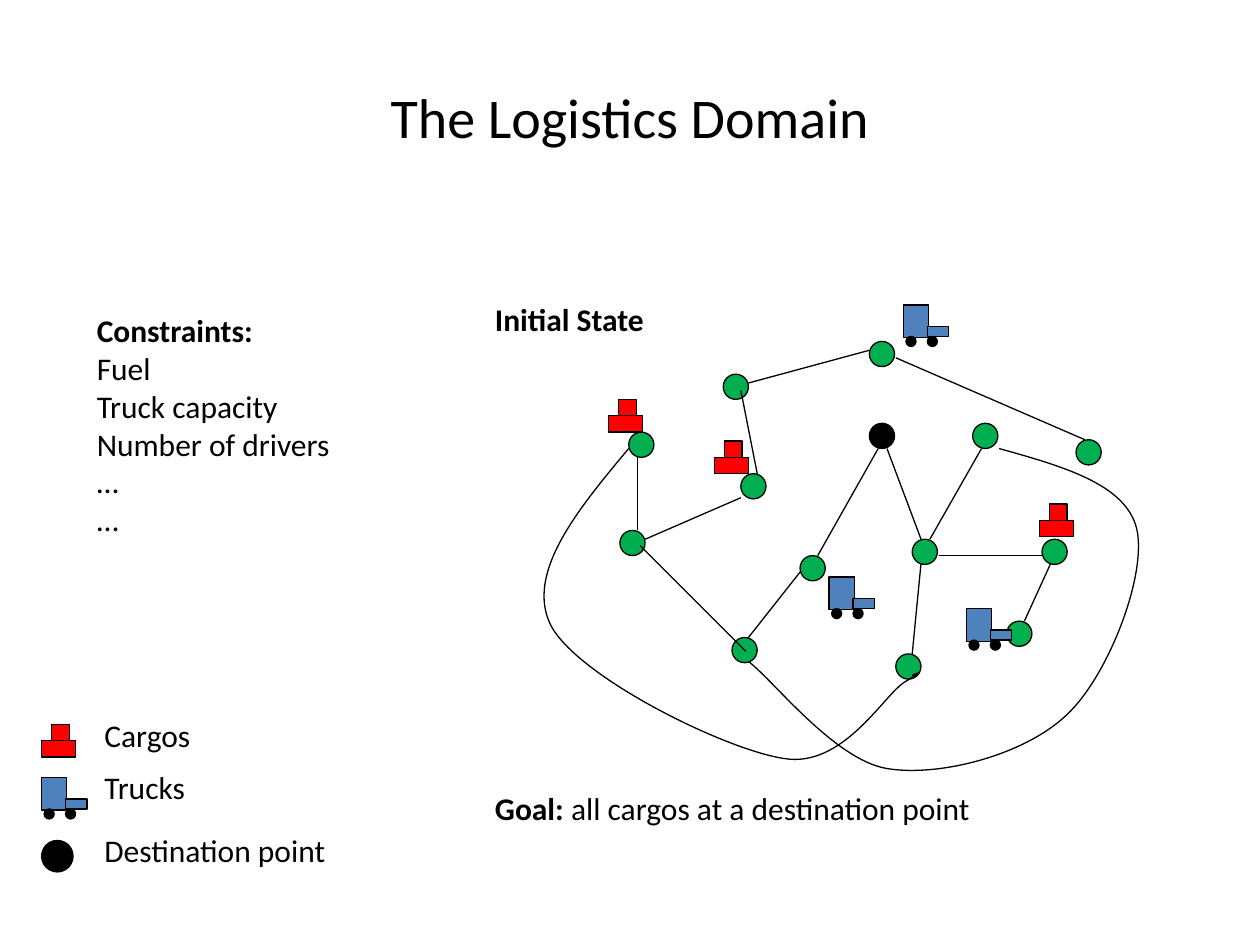
from lxml import etree
from pptx import Presentation
from pptx.dml.color import RGBColor
from pptx.enum.shapes import MSO_CONNECTOR, MSO_SHAPE
from pptx.enum.text import MSO_ANCHOR, PP_ALIGN
from pptx.oxml.ns import qn
from pptx.util import Inches, Pt

OVAL, RECT = MSO_SHAPE.OVAL, MSO_SHAPE.RECTANGLE
STRAIGHT = MSO_CONNECTOR.STRAIGHT
TOP, MIDDLE = MSO_ANCHOR.TOP, MSO_ANCHOR.MIDDLE
LEFT, CENTER = PP_ALIGN.LEFT, PP_ALIGN.CENTER

BLACK, GREEN, RED, BLUE = "000000", "00B050", "FF0000", "4F81BD"
WIDTH, HEIGHT = 10, 7.5
LEGEND_X, LABEL_X, STATE_X = 0.33, 0.73, 3.83
CITY_SIZE = 0.2

TITLE = [[("The Logistics Domain", False)]]
CONSTRAINTS = [[("Constraints:", True)]] + [
    [(item, False)] for item in ("Fuel", "Truck capacity", "Number of drivers", "…", "…")
]
INITIAL_STATE = [[("Initial State", True)]]
GOAL = [[("Goal:", True), (" all cargos at a destination point", False)]]
LEGEND = [("Cargos", 5.63, 0.91), ("Trucks", 6.05, 0.85), ("Destination point", 6.55, 1.98)]

CITIES = [
    (4.99, 3.43), (5.74, 2.97), (6.9, 2.71), (4.92, 4.21), (5.88, 3.76),
    (7.24, 4.28), (5.81, 5.06), (7.72, 3.36), (6.35, 4.41), (8.27, 4.28),
    (7.99, 4.93), (7.11, 5.19), (8.54, 3.49),
]
DESTINATION = (6.9, 3.36)
ROADS = [
    ((5.08, 4.33), (5.92, 5.17)), ((7.31, 4.47), (7.24, 5.19)),
    ((5.12, 4.28), (5.88, 3.95)), ((5.06, 4.21), (5.06, 3.62)),
    ((6.49, 4.41), (6.97, 3.56)), ((5.94, 5.06), (6.35, 4.54)),
    ((6.01, 3.76), (5.88, 3.1)), ((5.94, 3.04), (6.9, 2.78)),
    ((7.11, 2.84), (8.61, 3.49)), ((7.04, 3.56), (7.31, 4.28)),
    ((7.38, 4.28), (7.79, 3.56)), ((8.13, 4.93), (8.34, 4.47)),
    ((7.45, 4.41), (8.27, 4.41)),
]
WINDING_ROADS = [
    [(4.99, 3.56),
     (4.58, 4.05), (4.17, 4.55), (4.37, 4.96),
     (4.58, 5.37), (5.75, 5.95), (6.22, 6.02),
     (6.68, 6.1), (7, 5.54), (7.17, 5.42),
     (7.35, 5.31), (7.29, 5.34), (7.24, 5.36)],
    [(7.93, 3.56),
     (8.43, 3.7), (8.93, 3.84), (9.02, 4.19),
     (9.11, 4.55), (8.8, 5.36), (8.47, 5.67),
     (8.14, 5.99), (7.46, 6.17), (7.04, 6.1),
     (6.62, 6.03), (6.13, 5.39), (5.94, 5.25)],
]
CARGOS = [(5.67, 3.5), (4.83, 3.17), (8.25, 4), (LEGEND_X, 5.75)]
TRUCKS = [(6.58, 4.58), (7.17, 2.42), (7.67, 4.83), (LEGEND_X, 6.17)]

CARGO_PARTS = [(RECT, 0, 0.13, 0.27, 0.13, RED), (RECT, 0.08, 0, 0.14, 0.13, RED)]
TRUCK_PARTS = [
    (RECT, 0, 0, 0.2, 0.26, BLUE), (RECT, 0.19, 0.17, 0.17, 0.08, BLUE),
    (OVAL, 0.19, 0.25, 0.08, 0.08, BLACK), (OVAL, 0.02, 0.25, 0.08, 0.08, BLACK),
]


def rgb(colour):
    return RGBColor.from_string(colour)


def outline(part):
    part.line.color.rgb = rgb(BLACK)
    part.line.width = Pt(0.75)


def add_text(slide, paragraphs, x, y, w, h, size=18, align=LEFT, anchor=TOP, wrap=False):
    frame = slide.shapes.add_textbox(Inches(x), Inches(y), Inches(w), Inches(h)).text_frame
    frame.word_wrap = wrap
    frame.vertical_anchor = anchor
    for index, pieces in enumerate(paragraphs):
        paragraph = frame.paragraphs[0] if index == 0 else frame.add_paragraph()
        paragraph.alignment = align
        for words, bold in pieces:
            run = paragraph.add_run()
            run.text = words
            run.font.name, run.font.size, run.font.bold = "Calibri", Pt(size), bold
            run.font.color.rgb = rgb(BLACK)


def add_part(shapes, preset, x, y, w, h, colour):
    part = shapes.add_shape(preset, Inches(x), Inches(y), Inches(w), Inches(h))
    part.shadow.inherit = False
    part.fill.solid()
    part.fill.fore_color.rgb = rgb(colour)
    outline(part)


def add_icon(slide, parts, left, top):
    icon = slide.shapes.add_group_shape()
    for preset, x, y, w, h, colour in parts:
        add_part(icon.shapes, preset, left + x, top + y, w, h, colour)


def add_road(slide, start, end):
    road = slide.shapes.add_connector(STRAIGHT, *map(Inches, start + end))
    outline(road)
    etree.SubElement(road._element.spPr, qn("a:effectLst"))


def add_winding_road(slide, points):
    start, *rest = [(Inches(x), Inches(y)) for x, y in points]
    builder = slide.shapes.build_freeform(*start)
    builder.add_line_segments(rest, close=False)
    road = builder.convert_to_shape()
    road.shadow.inherit = False
    road.fill.background()
    outline(road)
    segments = list(road._element.iter(qn("a:lnTo")))
    for first in range(0, len(segments), 3):
        triple = segments[first:first + 3]
        curve = etree.Element(qn("a:cubicBezTo"))
        triple[0].addprevious(curve)
        for segment in triple:
            curve.append(segment[0])
            segment.getparent().remove(segment)


def main():
    deck = Presentation()
    deck.slide_width, deck.slide_height = Inches(WIDTH), Inches(HEIGHT)
    slide = deck.slides.add_slide(deck.slide_layouts[6])

    add_text(slide, TITLE, 0.5, 0.3, WIDTH - 1, 1.25,
             size=32, align=CENTER, anchor=MIDDLE, wrap=True)
    add_text(slide, CONSTRAINTS, 0.67, 2.42, 2.07, 1.92)
    for label, y, w in LEGEND:
        add_text(slide, [[(label, False)]], LABEL_X, y, w, 0.4)
    add_part(slide.shapes, OVAL, LEGEND_X, 6.67, 0.25, 0.25, BLACK)

    for x, y in CITIES:
        add_part(slide.shapes, OVAL, x, y, CITY_SIZE, CITY_SIZE, GREEN)
    add_part(slide.shapes, OVAL, *DESTINATION, CITY_SIZE, CITY_SIZE, BLACK)
    for start, end in ROADS:
        add_road(slide, start, end)
    for points in WINDING_ROADS:
        add_winding_road(slide, points)
    for parts, places in ((CARGO_PARTS, CARGOS), (TRUCK_PARTS, TRUCKS)):
        for left, top in places:
            add_icon(slide, parts, left, top)

    add_text(slide, GOAL, STATE_X, 6.21, 5.68, 0.4, wrap=True)
    add_text(slide, INITIAL_STATE, STATE_X, 2.33, 1.39, 0.4)
    deck.save("out.pptx")


if __name__ == "__main__":
    main()
